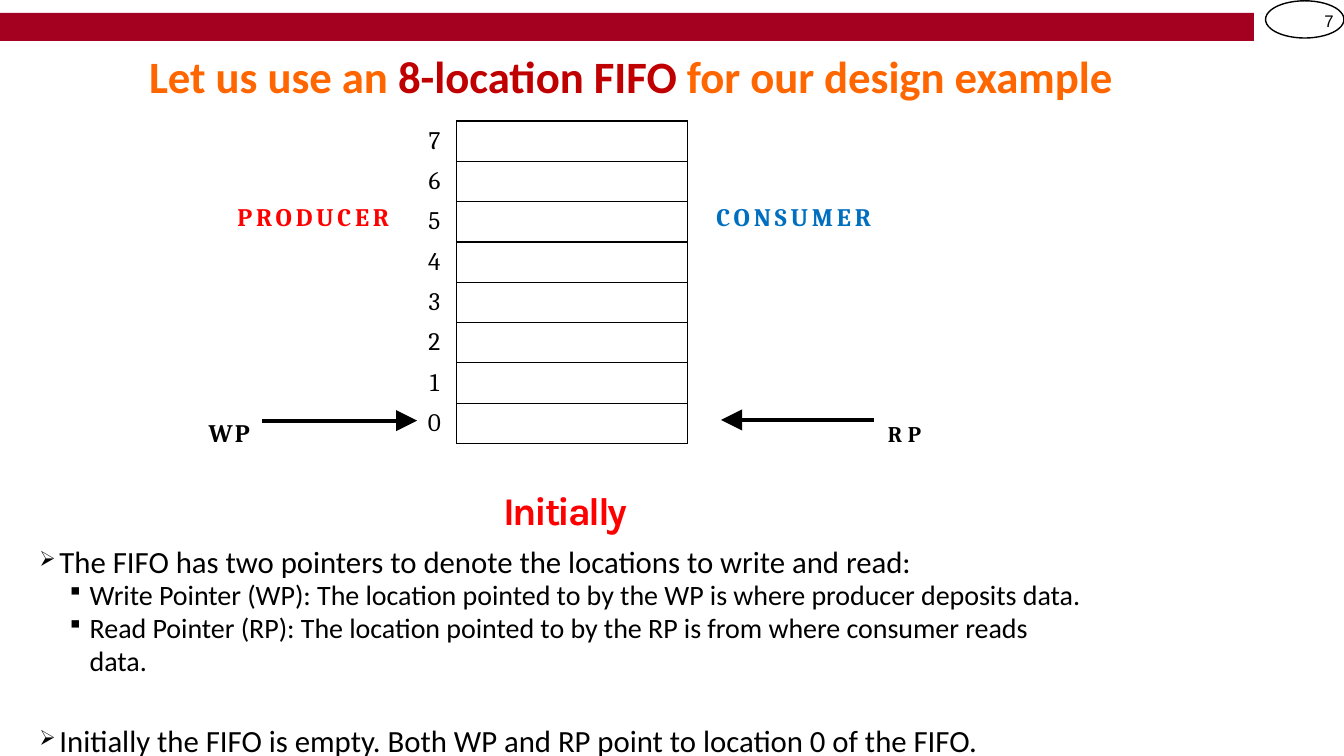
from dataclasses import dataclass
from typing import Optional

from lxml.etree import SubElement
from pptx import Presentation
from pptx.dml.color import RGBColor
from pptx.enum.shapes import MSO_CONNECTOR, MSO_SHAPE
from pptx.enum.text import MSO_ANCHOR, PP_ALIGN
from pptx.oxml.ns import qn
from pptx.util import Pt


@dataclass(frozen=True)
class Theme:
    black: str = "000000"
    bar: str = "A40020"
    orange: str = "FF6600"
    dark_red: str = "C00000"
    red: str = "FF0000"
    blue: str = "006FC0"
    sans: str = "Calibri"
    serif: str = "Cambria"
    caption: str = "Karla"
    number: str = "Arial"
    symbols: str = "Wingdings"
    title_size: float = 32
    caption_size: float = 28
    body_size: float = 22
    sub_size: float = 20
    label_size: float = 18
    rp_size: float = 16
    number_size: float = 12


T = Theme()


@dataclass(frozen=True)
class Style:
    font: str
    size: float
    color: str = T.black
    bold: bool = False
    spacing: float = 0


@dataclass(frozen=True)
class Label:
    spans: tuple[tuple[str, str], ...]  # (text, colour)
    left: float
    top: float
    width: float
    height: float
    style: Style
    align: PP_ALIGN = PP_ALIGN.LEFT


@dataclass(frozen=True)
class Bullet:
    text: str
    level: int = 0
    line: Optional[float] = None
    before: float = 0
    right: float = 0


@dataclass(frozen=True)
class Arrow:
    start: float
    end: float
    y: float


LOCATIONS = 8
ROW_H = 28.8
TABLE_TOP = 86.4
TITLE = Style(T.sans, T.title_size, bold=True, spacing=-0.05)
ROLE = Style(T.serif, T.label_size, bold=True, spacing=2.75)
WP = Style(T.serif, T.label_size, bold=True, spacing=1.5)
RP = Style(T.serif, T.rp_size, bold=True, spacing=4)
CAPTION = Style(T.caption, T.caption_size, bold=True, spacing=-1.8)
INDEX = Style(T.serif, T.label_size)
LEVELS = (Style(T.sans, T.body_size), Style(T.sans, T.sub_size, spacing=-0.05))
# Symbol-font character (an arrowhead, a small square), size in percent, indent
MARKS = (("Ø", 68, 15.1), ("§", 90, 36.7))

LABELS = (
    Label((("7", T.black),), 946, 8, 12, 15, Style(T.number, T.number_size)),
    Label((("Let us use an ", T.orange), ("8-location FIFO ", T.dark_red),
           ("for our design example", T.orange)), 106.5, 34.8, 700, 40, TITLE),
    Label((("PRODUCER", T.red),), 169.5, 143.6, 120, 22, ROLE),
    Label((("CONSUMER", T.blue),), 511.7, 143.6, 122, 22, ROLE),
    Label((("WP", T.black),), 149, 297.9, 36, 22, WP),
    Label((("RP", T.black),), 634.3, 299.9, 36, 20, RP),
    Label((("Initially", T.red),), 343.8, 347.6, 120, 34, CAPTION, PP_ALIGN.CENTER),
)
ARROWS = (Arrow(187.2, 298, 300.5), Arrow(624, 515, 300))
BULLETS = (
    Bullet("The FIFO has two pointers to denote the locations to write and read:", line=25.5),
    Bullet("Write Pointer (WP): The location pointed to by the WP is where producer "
           "deposits data.", 1, 22.5),
    Bullet("Read Pointer (RP): The location pointed to by the RP is from where consumer "
           "reads data.", 1, 23.4, right=20),
    Bullet("Initially the FIFO is empty. Both WP and RP point to location 0 of the FIFO.",
           before=32),
)


def format_run(r, style: Style, color: str) -> None:
    r.font.name = style.font
    r.font.size = Pt(style.size)
    r.font.bold = style.bold
    r.font.color.rgb = RGBColor.from_string(color)
    if style.spacing:
        r.font._element.set("spc", str(round(style.spacing * 100)))


def add_frame(s, left: float, top: float, width: float, height: float, wrap: bool):
    tf = s.shapes.add_textbox(Pt(left), Pt(top), Pt(width), Pt(height)).text_frame
    tf.margin_left = tf.margin_right = tf.margin_top = tf.margin_bottom = 0
    tf.word_wrap = wrap
    return tf


def add_label(s, label: Label) -> None:
    tf = add_frame(s, label.left, label.top, label.width, label.height, False)
    p = tf.paragraphs[0]
    p.alignment = label.align
    for text, color in label.spans:
        r = p.add_run()
        r.text = text
        format_run(r, label.style, color)


def add_bullets(s) -> None:
    tf = add_frame(s, 27.4, 388.6, 761, 154, True)
    for i, bullet in enumerate(BULLETS):
        p = tf.add_paragraph() if i else tf.paragraphs[0]
        p.text = bullet.text
        p.level = bullet.level
        p.space_before = Pt(bullet.before)
        if bullet.line:
            p.line_spacing = Pt(bullet.line)
        format_run(p.runs[0], LEVELS[bullet.level], T.black)
        mark, percent, indent = MARKS[bullet.level]
        pPr = p._p.get_or_add_pPr()
        pPr.set("marL", str(Pt(indent)))
        pPr.set("marR", str(Pt(bullet.right)))
        pPr.set("indent", str(Pt(-14.4)))
        SubElement(pPr, qn("a:buSzPct"), val=str(percent * 1000))
        SubElement(pPr, qn("a:buFont"), typeface=T.symbols, charset="2")
        SubElement(pPr, qn("a:buChar"), char=mark)


def set_borders(cell, color: Optional[str]) -> None:
    """Draw all four sides in a colour, or hide them when it is None."""
    tcPr = cell._tc.get_or_add_tcPr()
    for side in ("lnL", "lnR", "lnT", "lnB"):
        ln = SubElement(tcPr, qn(f"a:{side}"), w=str(Pt(1)))
        if color:
            fill = SubElement(ln, qn("a:solidFill"))
            SubElement(fill, qn("a:srgbClr"), val=color)
        else:
            SubElement(ln, qn("a:noFill"))


def add_column(s, left: float, width: float, texts: list[str], border: Optional[str]) -> None:
    table = s.shapes.add_table(len(texts), 1, Pt(left), Pt(TABLE_TOP), Pt(width),
                               Pt(ROW_H * len(texts))).table
    table.first_row = table.horz_banding = False
    for i, text in enumerate(texts):
        table.rows[i].height = Pt(ROW_H)
        cell = table.cell(i, 0)
        cell.margin_left = cell.margin_right = cell.margin_top = cell.margin_bottom = 0
        cell.vertical_anchor = MSO_ANCHOR.MIDDLE
        set_borders(cell, border)
        cell.fill.background()
        p = cell.text_frame.paragraphs[0]
        p.text = text
        p.alignment = PP_ALIGN.CENTER
        for r in p.runs:
            format_run(r, INDEX, T.black)


def add_arrow(s, arrow: Arrow) -> None:
    line = s.shapes.add_connector(MSO_CONNECTOR.STRAIGHT, Pt(arrow.start), Pt(arrow.y),
                                  Pt(arrow.end), Pt(arrow.y))
    line.line.width = Pt(3)
    line.line.color.rgb = RGBColor.from_string(T.black)
    SubElement(line.line._get_or_add_ln(), qn("a:tailEnd"), type="triangle", w="lg", len="lg")
    SubElement(line._element.spPr, qn("a:effectLst"))


def add_header(s) -> None:
    bar = s.shapes.add_shape(MSO_SHAPE.RECTANGLE, 0, Pt(9.3), Pt(895.6), Pt(20))
    bar.shadow.inherit = False
    bar.fill.solid()
    bar.fill.fore_color.rgb = RGBColor.from_string(T.bar)
    bar.line.fill.background()
    badge = s.shapes.add_shape(MSO_SHAPE.OVAL, Pt(904), Pt(0.6), Pt(56), Pt(26.6))
    badge.shadow.inherit = False
    badge.fill.background()
    badge.line.color.rgb = RGBColor.from_string(T.black)
    badge.line.width = Pt(1)


def main() -> None:
    prs = Presentation()
    prs.slide_width, prs.slide_height = Pt(960), Pt(540)
    s = prs.slides.add_slide(prs.slide_layouts[6])
    add_header(s)
    add_column(s, 326.2, 165, [""] * LOCATIONS, T.black)
    add_column(s, 295.2, 30.2, [str(n) for n in reversed(range(LOCATIONS))], None)
    for label in LABELS:
        add_label(s, label)
    for arrow in ARROWS:
        add_arrow(s, arrow)
    add_bullets(s)
    prs.save("out.pptx")


if __name__ == "__main__":
    main()
